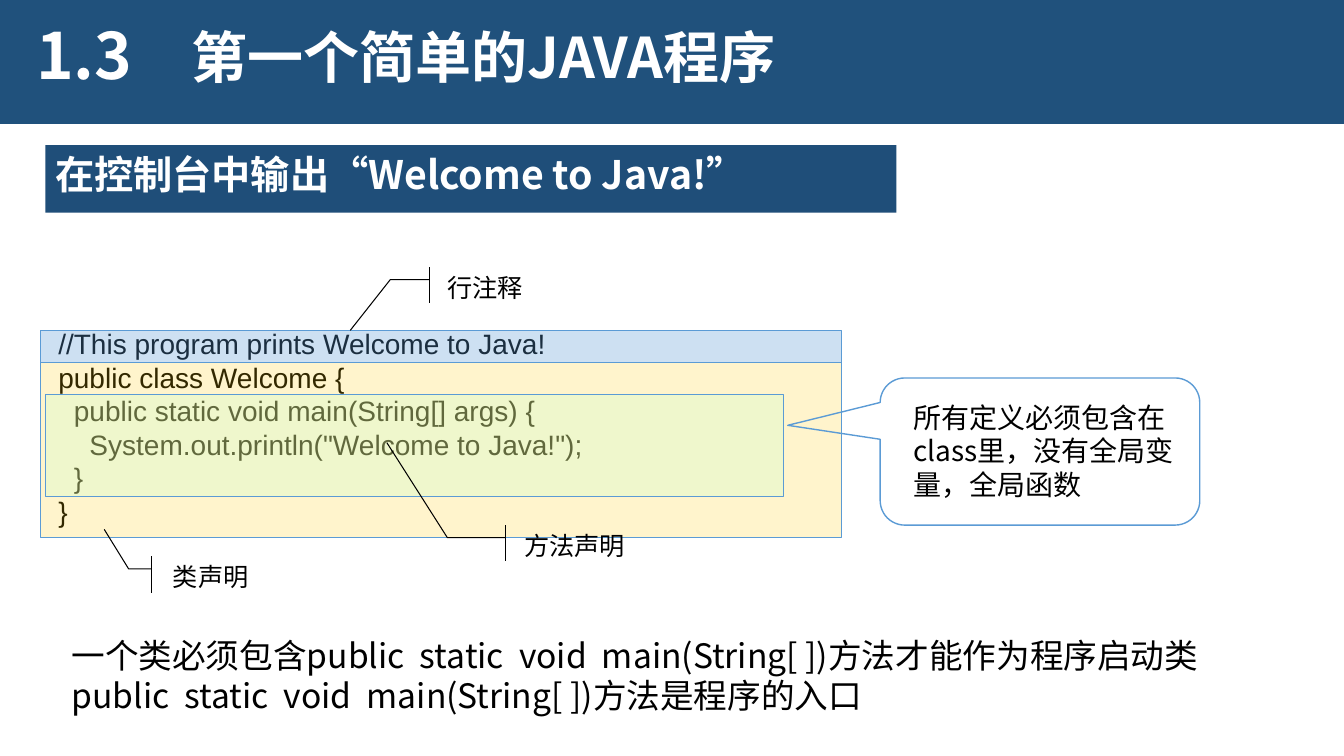
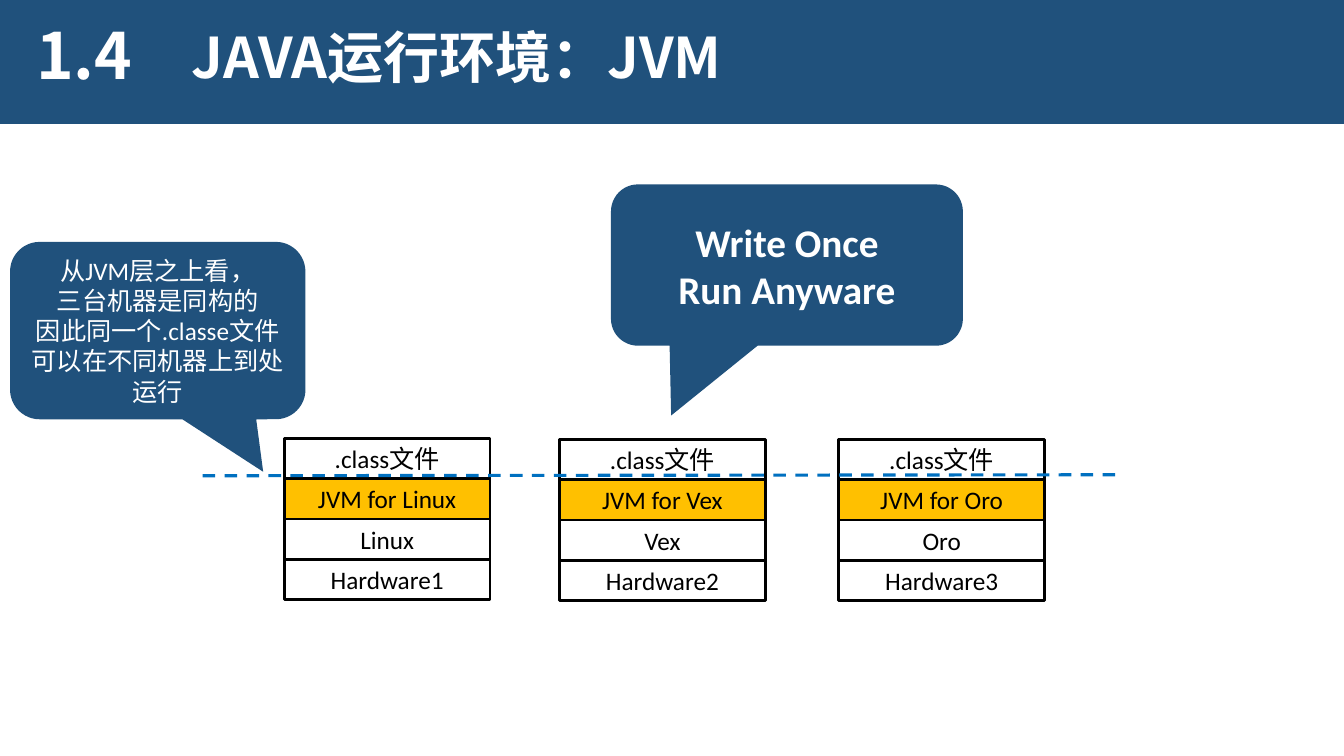
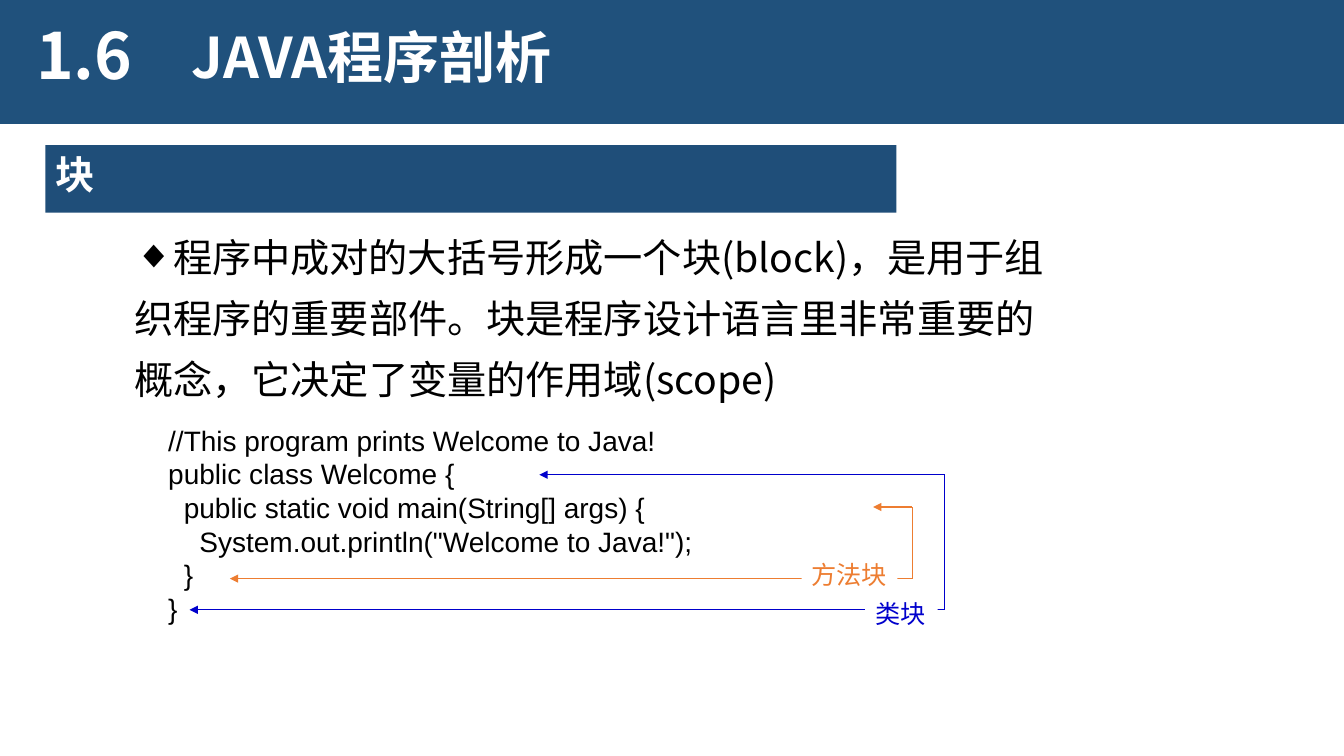
from dataclasses import dataclass
from typing import NamedTuple, Optional

from lxml import etree
from pptx import Presentation
from pptx.dml.color import RGBColor
from pptx.enum.dml import MSO_LINE
from pptx.enum.shapes import MSO_CONNECTOR, MSO_SHAPE
from pptx.enum.text import MSO_ANCHOR, MSO_AUTO_SIZE, PP_ALIGN
from pptx.oxml.ns import qn
from pptx.util import Emu, Pt

RECTANGLE = MSO_SHAPE.RECTANGLE
LINE_CALLOUT = MSO_SHAPE.LINE_CALLOUT_2_ACCENT_BAR
SPEECH_CALLOUT = MSO_SHAPE.ROUNDED_RECTANGULAR_CALLOUT
STRAIGHT = MSO_CONNECTOR.STRAIGHT
LEFT, CENTER, JUSTIFY = PP_ALIGN.LEFT, PP_ALIGN.CENTER, PP_ALIGN.JUSTIFY
TOP, MIDDLE = MSO_ANCHOR.TOP, MSO_ANCHOR.MIDDLE
DASH = MSO_LINE.DASH

EMU_PER_PX = 9144  # 100 px to the inch

BAND_BLUE = RGBColor(0x20, 0x51, 0x7C)
BAR_BLUE = RGBColor(0x1F, 0x4E, 0x79)
OUTLINE_BLUE = RGBColor(0x5B, 0x9B, 0xD5)
DASH_BLUE = RGBColor(0x00, 0x70, 0xC0)
CLASS_BLUE = RGBColor(0x00, 0x00, 0xCC)
METHOD_ORANGE = RGBColor(0xED, 0x7D, 0x31)
JVM_GOLD = RGBColor(0xFF, 0xC0, 0x00)
CLASS_YELLOW = RGBColor(0xFF, 0xCC, 0x00)
METHOD_GREEN = RGBColor(0xCC, 0xFF, 0xCC)
BLACK = RGBColor(0x00, 0x00, 0x00)
WHITE = RGBColor(0xFF, 0xFF, 0xFF)

CJK_FONT = "Noto Sans CJK SC"

WELCOME_CODE = [
    "//This program prints Welcome to Java!",
    "public class Welcome {",
    "  public static void main(String[] args) {",
    '    System.out.println("Welcome to Java!");',
    "  }",
    "}",
]


class Box(NamedTuple):
    left: int
    top: int
    width: int
    height: int


@dataclass(frozen=True)
class TextStyle:
    size: float
    font: str = "Calibri"
    color: RGBColor = BLACK
    bold: bool = False
    align: PP_ALIGN = LEFT
    anchor: MSO_ANCHOR = TOP
    spacing: Optional[float] = None


@dataclass(frozen=True)
class CodeRegion:
    """A tinted part of the program with a callout naming it."""
    box: Box
    fill: RGBColor
    opacity: int
    label: str
    label_box: Box
    label_align: PP_ALIGN
    adjustments: tuple


@dataclass(frozen=True)
class Machine:
    left: int
    top: int
    system: str
    number: int


@dataclass(frozen=True)
class BlockBracket:
    """Arrows from a common right edge to the two braces of a block."""
    right: int
    top: int
    bottom: int
    open_brace: int
    close_brace: int
    color: RGBColor
    label: str
    label_box: Box


NUMBER = TextStyle(45.6, CJK_FONT, WHITE, True, JUSTIFY, spacing=0.9)
HEADING = TextStyle(40, CJK_FONT, WHITE, True, spacing=0.9)
SUBHEADING = TextStyle(28, CJK_FONT, WHITE, True)
CODE = TextStyle(20, "Arial")
LABEL = TextStyle(18)
CELL = TextStyle(18, align=CENTER)


# Basic drawing
def px(length: int) -> Emu:
    return Emu(length * EMU_PER_PX)


def place(shape, box: Box) -> None:
    shape.left, shape.top, shape.width, shape.height = map(px, box)


def write(shape, lines: list[str], style: TextStyle, bullet: str = "") -> None:
    frame = shape.text_frame
    frame.word_wrap = True
    frame.auto_size = MSO_AUTO_SIZE.NONE
    frame.vertical_anchor = style.anchor
    for index, line in enumerate(lines):
        paragraph = frame.add_paragraph() if index else frame.paragraphs[0]
        paragraph.alignment = style.align
        if shape.is_placeholder:
            properties = paragraph._p.get_or_add_pPr()
            properties.set("marL", "0")
            properties.set("indent", "0")
            mark = etree.SubElement(properties, qn("a:buChar" if bullet else "a:buNone"))
            if bullet:
                mark.set("char", bullet)
            paragraph.space_before = Pt(0)
        if style.spacing:
            paragraph.line_spacing = style.spacing
        run = paragraph.add_run()
        run.text = line
        run.font.size = Pt(style.size)
        run.font.bold = style.bold
        run.font.color.rgb = style.color
        run.font.name = style.font
        east_asian = etree.Element(qn("a:ea"), typeface=CJK_FONT)
        run.font._element.find(qn("a:latin")).addnext(east_asian)


def add_shape(slide, kind: MSO_SHAPE, box: Box, fill: Optional[RGBColor] = None,
              line: Optional[RGBColor] = None, line_width: float = 0.75,
              opacity: int = 100, adjustments: tuple = ()):
    shape = slide.shapes.add_shape(kind, *map(px, box))
    shape.shadow.inherit = False
    for index, value in enumerate(adjustments):
        shape.adjustments[index] = value
    if fill is None:
        shape.fill.background()
    else:
        shape.fill.solid()
        shape.fill.fore_color.rgb = fill
        if opacity < 100:
            color = shape.element.spPr.find(qn("a:solidFill"))[0]
            etree.SubElement(color, qn("a:alpha"), val=str(opacity * 1000))
    if line is None:
        shape.line.fill.background()
    else:
        shape.line.color.rgb = line
        shape.line.width = Pt(line_width)
    return shape


def add_text(slide, box: Box, lines: list[str], style: TextStyle) -> None:
    write(slide.shapes.add_textbox(*map(px, box)), lines, style)


def add_line(slide, start: tuple[int, int], end: tuple[int, int], color: RGBColor,
             width: float = 0.75, arrow: bool = False):
    connector = slide.shapes.add_connector(STRAIGHT, *map(px, start + end))
    connector.line.color.rgb = color
    connector.line.width = Pt(width)
    if arrow:
        outline = connector.line._get_or_add_ln()
        etree.SubElement(outline, qn("a:tailEnd"), type="triangle")
    etree.SubElement(connector.element.spPr, qn("a:effectLst"))
    return connector


# Shared slide frame
def prepare_layout(presentation):
    layout = presentation.slide_layouts[3]
    boxes = {0: Box(180, 25, 1008, 54), 1: Box(26, 19, 137, 91)}
    for placeholder in list(layout.placeholders):
        index = placeholder.placeholder_format.idx
        if index in boxes:
            place(placeholder, boxes[index])
        elif index >= 10:
            placeholder.element.getparent().remove(placeholder.element)
    return layout


def add_section(presentation, layout, number: str, heading: str):
    slide = presentation.slides.add_slide(layout)
    write(slide.shapes.title, [heading], HEADING)
    write(slide.placeholders[1], [number], NUMBER)
    return slide


def move_band_to_layout(slide, layout) -> None:
    band = add_shape(slide, RECTANGLE, Box(-3, 0, 1336, 123), BAND_BLUE)
    layout.placeholders[0].element.addprevious(band.element)


def add_subheading(slide, text: str) -> None:
    bar = add_shape(slide, RECTANGLE, Box(45, 144, 844, 67), BAR_BLUE)
    write(bar, [text], SUBHEADING)


def fill_body(slide, box: Box, lines: list[str], style: TextStyle, bullet: str = "") -> None:
    body = slide.placeholders[2]
    place(body, box)
    write(body, lines, style, bullet)


# Slide contents
def build_first_program(slide) -> None:
    add_subheading(slide, "在控制台中输出“Welcome to Java!”")
    add_text(slide, Box(48, 319, 811, 210), WELCOME_CODE, CODE)
    regions = [
        CodeRegion(Box(40, 328, 795, 32), OUTLINE_BLUE, 30, "行注释",
                   Box(434, 265, 100, 36), LEFT,
                   (0.346, -0.083, 0.346, -0.469, 1.745, -0.866)),
        CodeRegion(Box(40, 360, 795, 173), CLASS_YELLOW, 20, "类声明",
                   Box(159, 552, 100, 36), CENTER,
                   (0.346, -0.083, 0.346, -0.314, -0.745, -0.556)),
        CodeRegion(Box(45, 391, 732, 102), METHOD_GREEN, 30, "方法声明",
                   Box(510, 521, 149, 36), LEFT,
                   (0.346, -0.056, 0.346, -0.445, -2.274, -0.848)),
    ]
    for region in regions:
        add_shape(slide, RECTANGLE, region.box, region.fill, OUTLINE_BLUE,
                  opacity=region.opacity)
        callout = add_shape(slide, LINE_CALLOUT, region.label_box, line=BLACK,
                            adjustments=region.adjustments)
        write(callout, [region.label], TextStyle(18, align=region.label_align))

    fill_body(slide, Box(61, 625, 1194, 91), [
        "一个类必须包含public  static  void  main(String[ ])方法才能作为程序启动类",
        "public  static  void  main(String[ ])方法是程序的入口",
    ], TextStyle(24, CJK_FONT))
    add_shape(slide, SPEECH_CALLOUT, Box(873, 375, 317, 146), line=OUTLINE_BLUE,
              line_width=1, adjustments=(-0.789, -0.178, 0.167))
    add_text(slide, Box(896, 392, 288, 111),
             ["所有定义必须包含在class里，没有全局变量，全局函数"], TextStyle(20, CJK_FONT))


def build_virtual_machine(slide) -> None:
    body = slide.placeholders[2].element
    body.getparent().remove(body)

    # Layers of each machine
    row_height = 40
    machines = [
        Machine(282, 435, "Linux", 1),
        Machine(555, 436, "Vex", 2),
        Machine(832, 436, "Oro", 3),
    ]
    for machine in machines:
        layers = [
            (".class文件", None),
            (f"JVM for {machine.system}", JVM_GOLD),
            (machine.system, None),
            (f"Hardware{machine.number}", None),
        ]
        for row, (text, fill) in enumerate(layers):
            box = Box(machine.left, machine.top + row * row_height, 204, row_height)
            write(add_shape(slide, RECTANGLE, box, fill, BLACK, 2), [text], CELL)
    boundary = add_line(slide, (201, 472), (1112, 471), DASH_BLUE, 2.25)
    boundary.line.dash_style = DASH

    # Speech callouts
    remark = add_shape(slide, SPEECH_CALLOUT, Box(10, 240, 293, 176), BAND_BLUE,
                       adjustments=(0.357, 0.796, 0.167))
    write(remark, [
        "从JVM层之上看，",
        "三台机器是同构的",
        "因此同一个.classe文件可以在不同机器上到处运行",
    ], TextStyle(18, color=WHITE, align=CENTER, anchor=MIDDLE))
    slogan = add_shape(slide, SPEECH_CALLOUT, Box(606, 183, 349, 160), BAND_BLUE,
                       adjustments=(-0.329, 0.933, 0.167))
    write(slogan, ["Write Once", "Run Anyware"],
          TextStyle(28, color=WHITE, bold=True, align=CENTER, anchor=MIDDLE))


def build_blocks(slide) -> None:
    add_subheading(slide, "块")
    fill_body(slide, Box(123, 212, 944, 183), [
        "程序中成对的大括号形成一个块(block)，是用于组织程序的重要部件。"
        "块是程序设计语言里非常重要的概念，它决定了变量的作用域(scope)",
    ], TextStyle(28, CJK_FONT, spacing=1.3), "◆")
    add_text(slide, Box(157, 415, 811, 210), WELCOME_CODE, CODE)
    brackets = [
        BlockBracket(905, 503, 574, 866, 228, METHOD_ORANGE, "方法块",
                     Box(795, 550, 95, 40)),
        BlockBracket(937, 471, 605, 535, 188, CLASS_BLUE, "类块",
                     Box(858, 589, 72, 40)),
    ]
    for bracket in brackets:
        upper, lower = (bracket.right, bracket.top), (bracket.right, bracket.bottom)
        add_line(slide, lower, (bracket.close_brace, bracket.bottom), bracket.color, arrow=True)
        add_line(slide, upper, (bracket.open_brace, bracket.top), bracket.color, arrow=True)
        add_line(slide, upper, lower, bracket.color)
        label = add_shape(slide, RECTANGLE, bracket.label_box, WHITE)
        write(label, [bracket.label], TextStyle(LABEL.size, color=bracket.color))


def main() -> None:
    presentation = Presentation()
    presentation.slide_width, presentation.slide_height = px(1333), px(750)
    layout = prepare_layout(presentation)
    sections = [
        ("1.3", "第一个简单的JAVA程序", build_first_program),
        ("1.4", "JAVA运行环境：JVM", build_virtual_machine),
        ("1.6", "JAVA程序剖析", build_blocks),
    ]
    for position, (number, heading, build) in enumerate(sections):
        slide = add_section(presentation, layout, number, heading)
        if position == 0:
            move_band_to_layout(slide, layout)
        build(slide)
    presentation.save("out.pptx")


if __name__ == "__main__":
    main()
